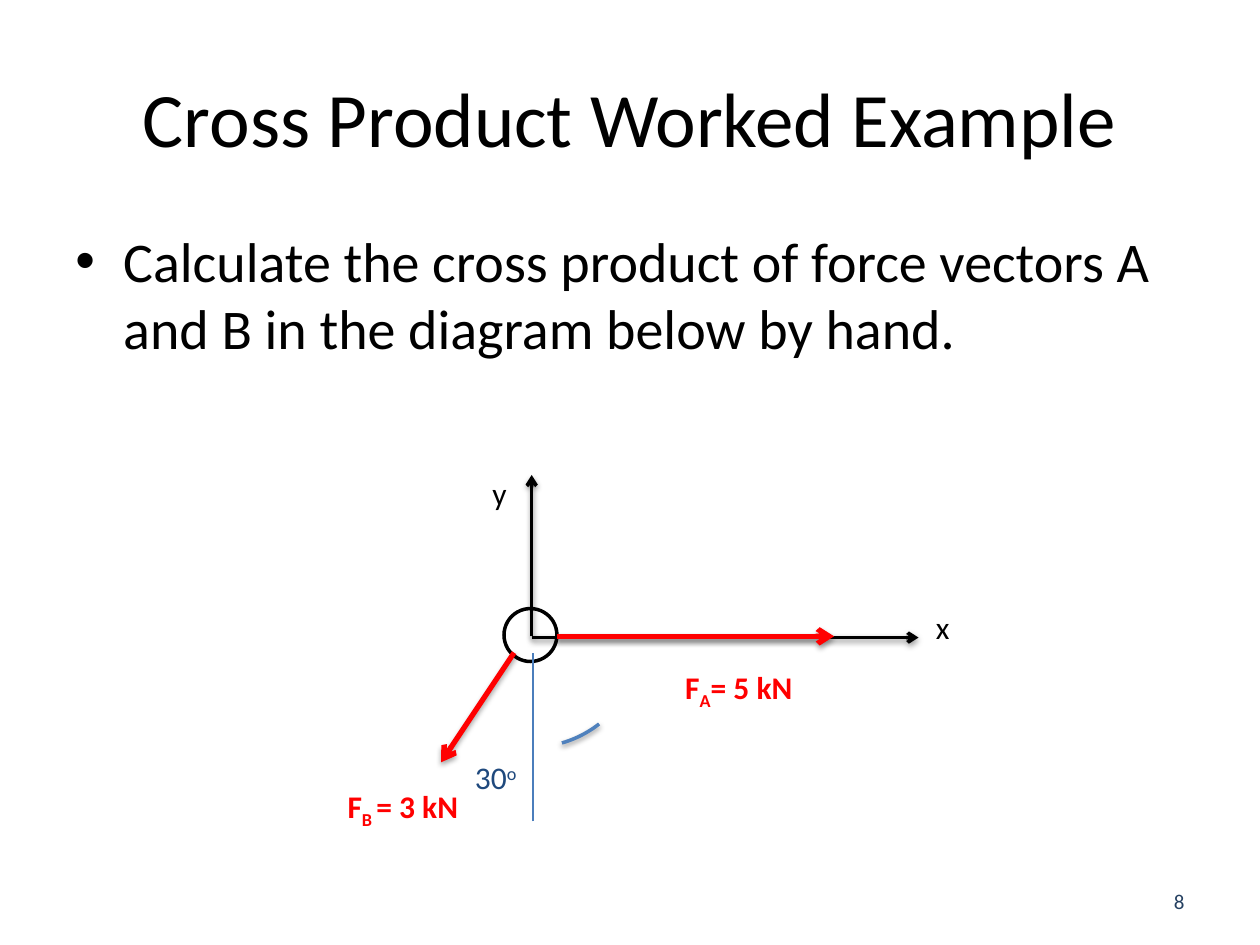
from lxml import etree
from pptx import Presentation
from pptx.dml.color import RGBColor
from pptx.enum import shapes, text
from pptx.oxml import ns
from pptx.util import Inches, Pt

RGB = RGBColor.from_string


def write(box, runs, size, color, bold=False):
    """Fill a box with runs of (words, baseline percent)."""
    par = box.text_frame.paragraphs[0]
    for words, base in runs:
        run = par.add_run()
        run.text = words
        if base:
            run._r.get_or_add_rPr().set("baseline", str(base * 1000))
    font = par.font
    font.name, font.size, font.bold = "Calibri", Pt(size), bold
    font.color.rgb = RGB(color)
    return par


def trace(shape, color, width, shade=None):
    """Style an outline; shade is (opacity percent, distance in points)."""
    shape.line.color.rgb = RGB(color)
    shape.line.width = Pt(width)
    props = shape._element.spPr
    fx = etree.SubElement(props, ns.qn("a:effectLst"))
    if shade:
        alpha, dist = shade
        drop = etree.SubElement(fx, ns.qn("a:outerShdw"), blurRad=str(Pt(3.1)),
                                dist=str(Pt(dist)), dir="5400000", rotWithShape="0")
        tint = etree.SubElement(drop, ns.qn("a:srgbClr"), val="000000")
        etree.SubElement(tint, ns.qn("a:alpha"), val=str(alpha * 1000))


deck = Presentation()
deck.slide_width, deck.slide_height = Inches(10), Inches(7.5)
slide = deck.slides.add_slide(deck.slide_layouts[5])
parts = slide.shapes

# Title
title = parts.title
title.left, title.top = Inches(0.5), Inches(0.3)
title.width, title.height = Inches(9), Inches(1.25)
write(title, [("Cross Product Worked Example", 0)], 44, "000000")
title.text_frame.paragraphs[0].alignment = text.PP_ALIGN.CENTER

# Bulleted task
task = parts.add_textbox(Inches(0.5), Inches(1.75), Inches(9), Inches(1.33))
task.text_frame.word_wrap = True
props = task.text_frame.paragraphs[0]._p.get_or_add_pPr()
props.set("marL", str(Inches(0.38)))
props.set("indent", str(Inches(-0.38)))
etree.SubElement(props, ns.qn("a:buFont"), typeface="Arial")
etree.SubElement(props, ns.qn("a:buChar"), char="•")
write(task, [("Calculate the cross product of force vectors A and B "
              "in the diagram below by hand.", 0)], 32, "000000")

# Slide number
num = parts.add_textbox(Inches(7.17), Inches(6.95), Inches(2.33), Inches(0.4))
num.text_frame.vertical_anchor = text.MSO_ANCHOR.MIDDLE
num.text_frame.word_wrap = True
write(num, [("8", 0)], 12, "254061").alignment = text.PP_ALIGN.RIGHT

# Ring at the origin and angle arc
thin, thick = (38, 1.6), (35, 1.8)
ring = parts.add_shape(shapes.MSO_SHAPE.OVAL, Inches(4), Inches(4.83),
                       Inches(0.42), Inches(0.42))
ring.fill.background()
trace(ring, "000000", 2)
arc = parts.add_shape(shapes.MSO_SHAPE.ARC, Inches(3.35), Inches(4.13),
                      Inches(1.75), Inches(1.8))
for i, angle in enumerate((53.51, 74.83)):
    arc.adjustments[i] = angle * 0.6  # degrees to adjustment units
arc.fill.background()
trace(arc, "4F81BD", 2, thin)

# Axes, forces and the vertical reference line
for x1, y1, x2, y2, color, width, shade in (
    (4.22, 5.06, 7.29, 5.06, "000000", 2, thin),
    (4.22, 5.05, 4.22, 3.77, "000000", 2, thin),
    (4.42, 5.05, 6.62, 5.05, "FF0000", 3, thick),
    (4.08, 5.18, 3.5, 6.05, "FF0000", 3, thick),
    (4.23, 6.52, 4.23, 5.18, "4B7EBC", 0.75, None),
):
    line = parts.add_connector(shapes.MSO_CONNECTOR.STRAIGHT, Inches(x1),
                               Inches(y1), Inches(x2), Inches(y2))
    trace(line, color, width, shade)
    if shade:
        etree.SubElement(line.line._get_or_add_ln(), ns.qn("a:tailEnd"), type="arrow")

# Labels
for x, y, wide, runs, color, bold in (
    (3.67, 5.97, 0.75, [("30", 0), ("o", 30)], "1F497D", False),
    (2.66, 6.2, 1.11, [("F", 0), ("B ", -25), ("= 3 kN", 0)], "FF0000", True),
    (5.34, 5.25, 1.06, [("F", 0), ("A", -25), ("= 5 kN", 0)], "FF0000", True),
    (7.33, 4.78, 0.31, [("x", 0)], "000000", False),
    (3.81, 3.71, 0.32, [("y", 0)], "000000", False),
):
    label = parts.add_textbox(Inches(x), Inches(y), Inches(wide), Inches(0.4))
    label.text_frame.word_wrap = False
    write(label, runs, 18, color, bold)

deck.save("out.pptx")
